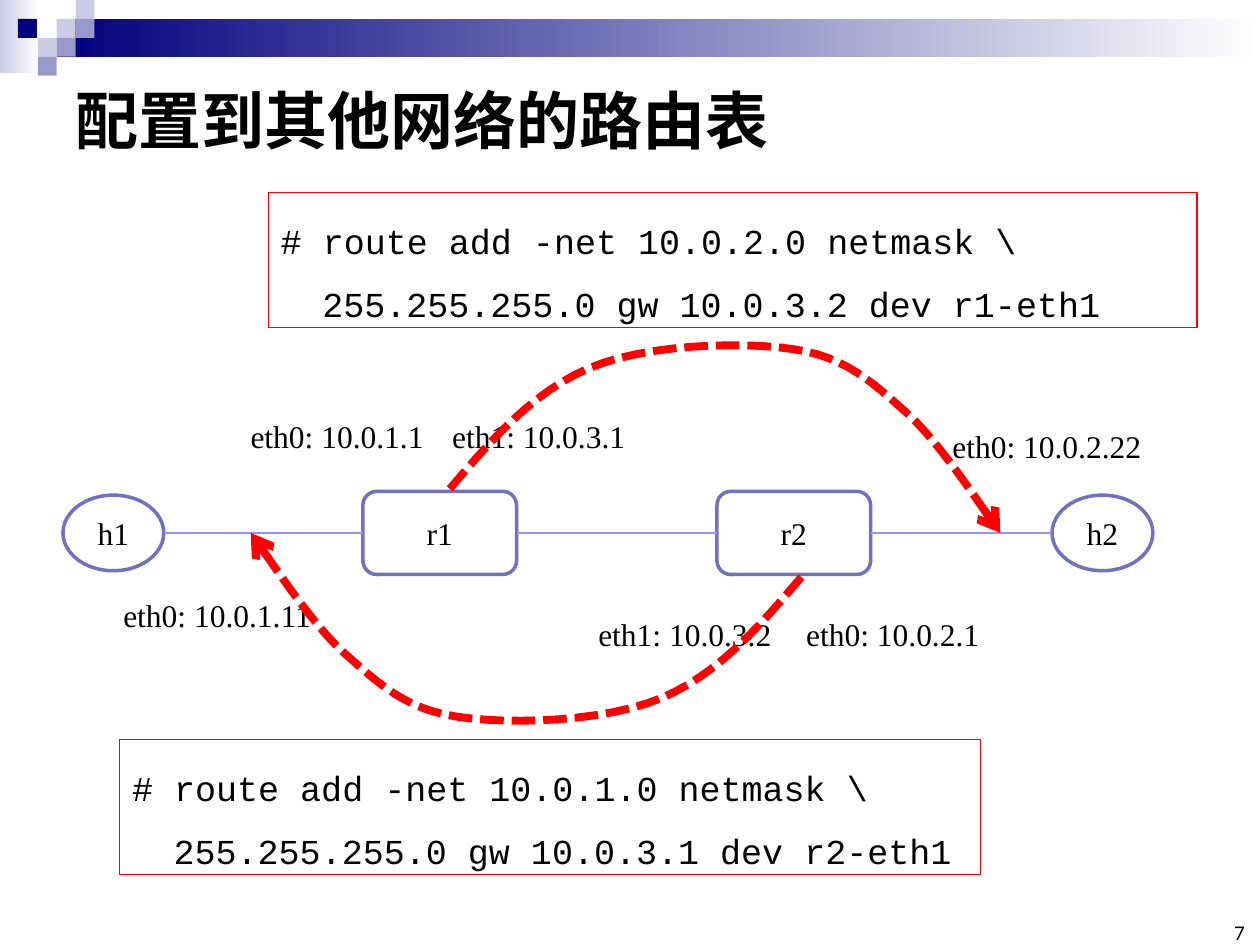
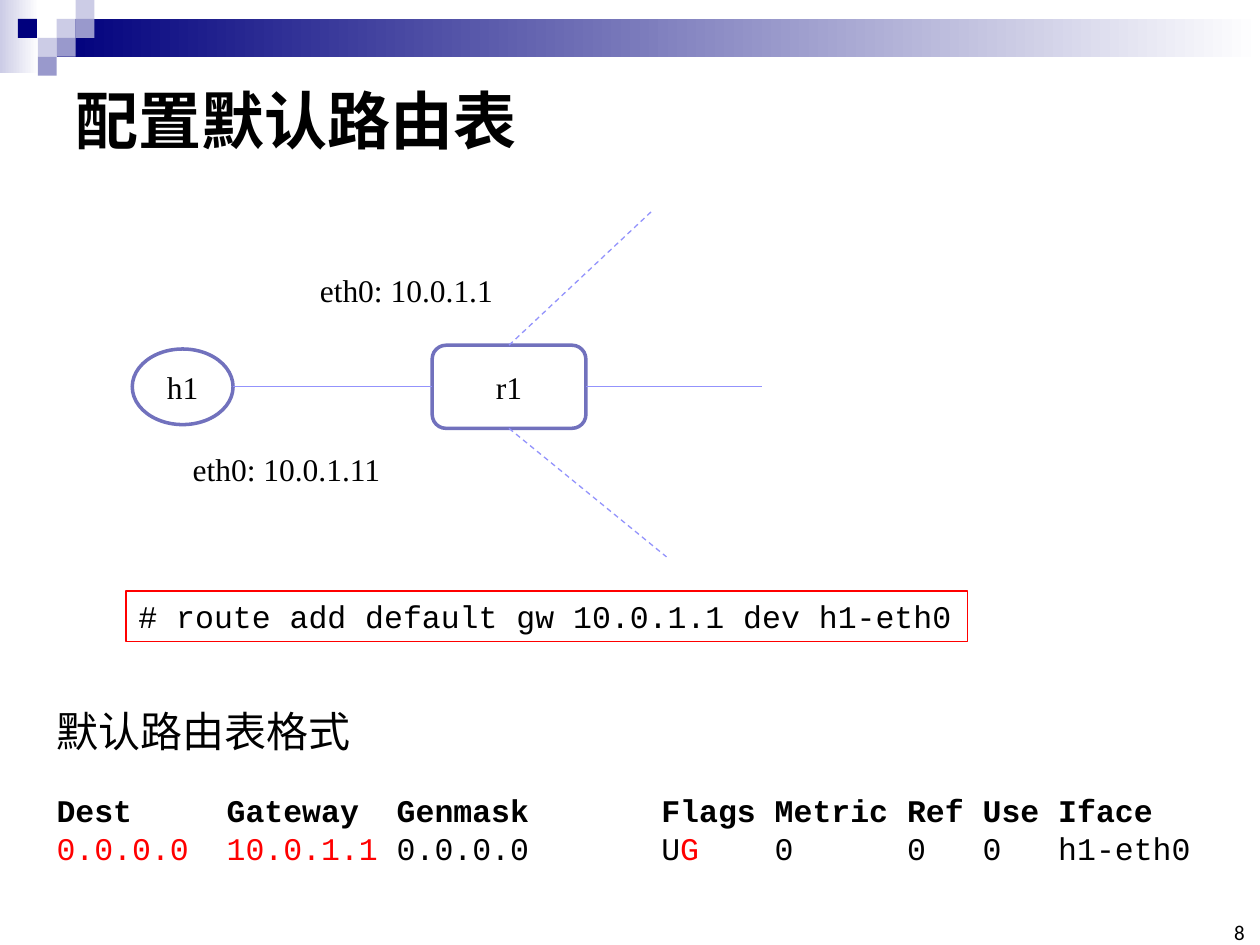
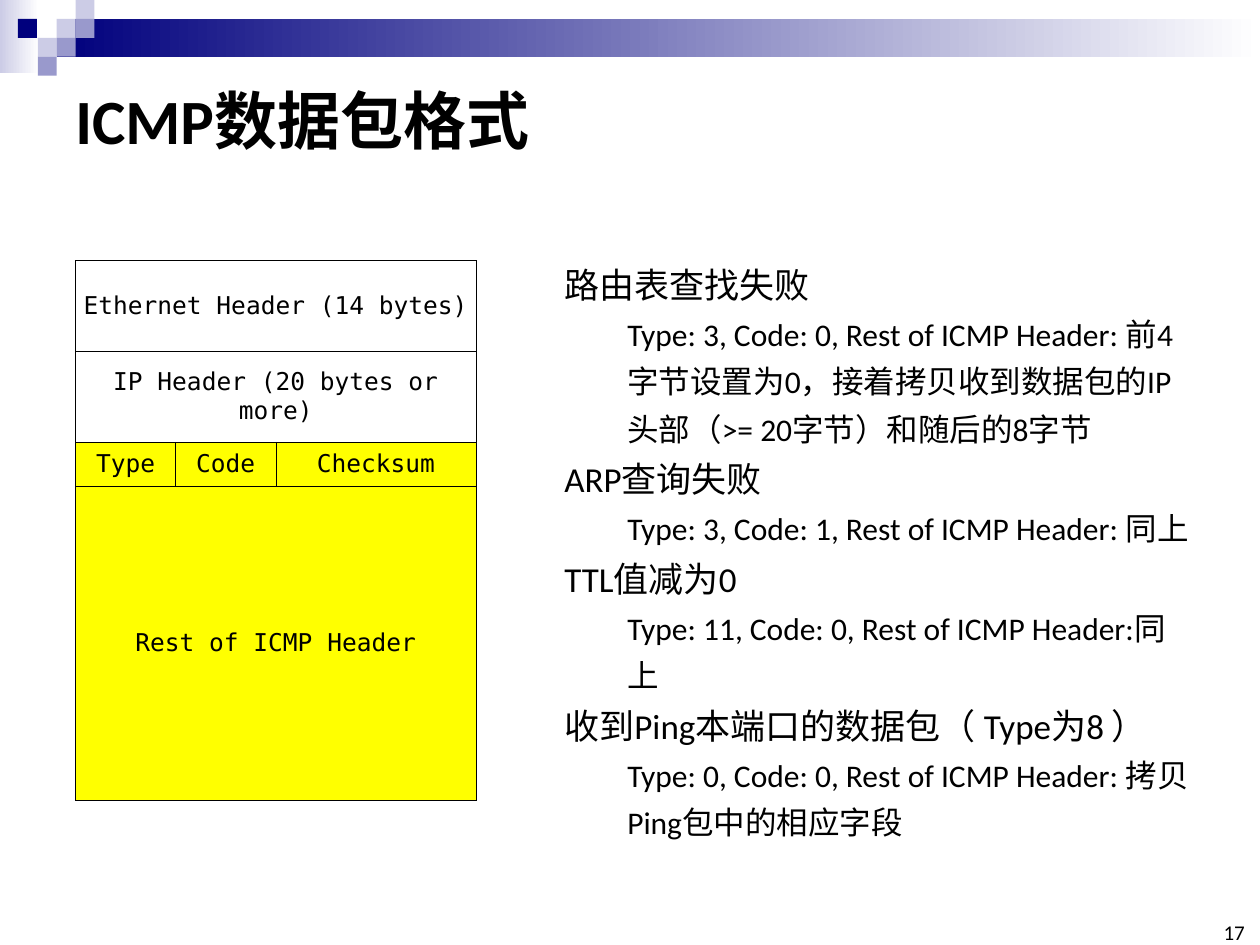
from itertools import pairwise

from lxml import etree
from pptx import Presentation
from pptx.dml.color import RGBColor
from pptx.enum.dml import MSO_LINE
from pptx.enum.shapes import MSO_CONNECTOR, MSO_SHAPE
from pptx.enum.text import MSO_ANCHOR, PP_ALIGN
from pptx.oxml.ns import qn
from pptx.util import Inches, Pt

WIDTH, HEIGHT = 10, 7.5
BLACK, WHITE, RED, YELLOW = "000000", "FFFFFF", "FF0000", "FFFF00"
NAVY, LILAC, PALE = "00007D", "9999CC", "CCCCE6"
NODE_LINE, LINK_LINE = "7171BD", "9393FC"
CHINESE_FONT = "Noto Sans CJK SC"

TITLE = {"name": "Calibri", "size": 36, "bold": True}
BODY = {"name": "Calibri", "size": 20}
DETAIL = {"name": "Calibri", "size": 18}
NUMBER = {"name": "Calibri", "size": 12}
LABEL = {"name": "Times New Roman", "size": 18}
CODE = {"name": "Courier New", "size": 18}
COMMAND = {"name": "Courier New", "size": 20}
PACKET = {"name": "DejaVu Sans Mono", "size": 14}

NODE_SIZES = {MSO_SHAPE.OVAL: (0.8, 0.6), MSO_SHAPE.ROUNDED_RECTANGLE: (1.22, 0.66)}
SEGMENT_AXIS = 0.97  # height of the link line within a network segment


def color(hex_string):
    return RGBColor.from_string(hex_string)


def inches(values):
    return [Inches(value) for value in values]


def set_line(line, hex_string, width, dash=None):
    line.color.rgb = color(hex_string)
    line.width = Pt(width)
    if dash:
        line.dash_style = dash


# Text

def add_run(paragraph, text, style):
    run = paragraph.add_run()
    run.text = text
    values = {"bold": False, **style, "size": Pt(style["size"])}
    hex_string = values.pop("color", BLACK)
    for name, value in values.items():
        setattr(run.font, name, value)
    run.font.color.rgb = color(hex_string)
    etree.SubElement(run.font._element, qn("a:ea"), typeface=CHINESE_FONT)


def fill_text(frame, paragraphs, **formats):
    """Each paragraph is (runs, paragraph formats, left indent)."""
    for name, value in formats.items():
        setattr(frame, name, value)
    for index, (runs, paragraph_formats, indent) in enumerate(paragraphs):
        paragraph = frame.add_paragraph() if index else frame.paragraphs[0]
        for name, value in paragraph_formats.items():
            setattr(paragraph, name, value)
        if indent:
            properties = paragraph._p.get_or_add_pPr()
            properties.set("marL", str(Inches(indent)))
            properties.set("indent", "0")
        for text, style in runs:
            add_run(paragraph, text, style)


def add_text(slide, box, paragraphs, **formats):
    shape = slide.shapes.add_textbox(*inches(box))
    fill_text(shape.text_frame, paragraphs, **{"word_wrap": True, **formats})
    return shape


def line_of(text, style, indent=0, **formats):
    return [(text, style)], formats, indent


# Shared frame of every slide

def add_bar(slide, box, *colors):
    shape = slide.shapes.add_shape(MSO_SHAPE.RECTANGLE, *inches(box))
    shape.shadow.inherit = False
    shape.line.fill.background()
    if len(colors) == 1:
        shape.fill.solid()
        shape.fill.fore_color.rgb = color(colors[0])
        return
    shape.fill.gradient()
    shape.fill.gradient_angle = 0
    for stop, hex_string in zip(shape.fill.gradient_stops, colors):
        stop.color.rgb = color(hex_string)


def add_frame(presentation, title, number):
    slide = presentation.slides.add_slide(presentation.slide_layouts[6])
    # Fading bars and a mosaic on a square grid
    unit = 0.15
    add_bar(slide, (0, 0, 0.31, 0.58), PALE, WHITE)
    add_bar(slide, (3 * unit, unit, WIDTH - 3 * unit, 2 * unit), NAVY, WHITE)
    mosaic = [(3, 1, PALE), (4, 0, PALE), (4, 1, LILAC), (2, 2, PALE),
              (0.95, 1, NAVY), (3, 2, LILAC), (2, 3, LILAC)]
    for column, row, hex_string in mosaic:
        add_bar(slide, (column * unit, row * unit, unit, unit), hex_string)
    # Title and page number
    add_text(slide, (0.5, 0.5, WIDTH - 1, 0.89), [line_of(title, TITLE)],
             vertical_anchor=MSO_ANCHOR.MIDDLE)
    add_text(slide, (WIDTH - 0.35, HEIGHT - 0.17, 0.23, 0.17),
             [line_of(number, NUMBER, alignment=PP_ALIGN.RIGHT)],
             vertical_anchor=MSO_ANCHOR.BOTTOM, word_wrap=False,
             margin_left=0, margin_top=0, margin_right=0, margin_bottom=0)
    return slide


# Network diagram

def add_node(slide, kind, left, axis, name):
    width, height = NODE_SIZES[kind]
    shape = slide.shapes.add_shape(kind, *inches((left, axis - height / 2, width, height)))
    shape.shadow.inherit = False
    shape.fill.solid()
    shape.fill.fore_color.rgb = color(WHITE)
    set_line(shape.line, NODE_LINE, 2)
    fill_text(shape.text_frame, [line_of(name, LABEL, alignment=PP_ALIGN.CENTER)],
              vertical_anchor=MSO_ANCHOR.MIDDLE)


def add_link(slide, start, end, dash=None):
    link = slide.shapes.add_connector(MSO_CONNECTOR.STRAIGHT, *inches((*start, *end)))
    set_line(link.line, LINK_LINE, 0.75, dash)
    etree.SubElement(link._element.spPr, qn("a:effectLst"))


def add_label(slide, left, top, text):
    add_text(slide, (left, top, 1.64 + 0.07 * (len(text) - 14), 0.4),
             [line_of(text, LABEL)], word_wrap=False)


def add_first_segment(slide, left, top):
    """Host h1 linked to router r1."""
    axis = top + SEGMENT_AXIS
    add_node(slide, MSO_SHAPE.ROUNDED_RECTANGLE, left + 2.38, axis, "r1")
    add_node(slide, MSO_SHAPE.OVAL, left, axis, "h1")
    add_link(slide, (left + 0.8, axis), (left + 2.38, axis))
    add_label(slide, left + 0.38, top + 1.42, "eth0: 10.0.1.11")
    add_label(slide, left + 1.39, top, "eth0: 10.0.1.1")


def cubic_point(points, share):
    rest = 1 - share
    weights = (rest ** 3, 3 * rest ** 2 * share, 3 * rest * share ** 2, share ** 3)
    return tuple(sum(weight * point[axis] for weight, point in zip(weights, points))
                 for axis in (0, 1))


def add_route_arrow(slide, knots, steps=12):
    """Dashed curve; knots are a start point and triples of curve points."""
    points = [cubic_point(knots[first:first + 4], step / steps)
              for first in range(0, len(knots) - 1, 3) for step in range(1, steps + 1)]
    builder = slide.shapes.build_freeform(*inches(knots[0]))
    builder.add_line_segments([inches(point) for point in points], close=False)
    shape = builder.convert_to_shape()
    shape.shadow.inherit = False
    shape.fill.background()
    set_line(shape.line, RED, 4.5, MSO_LINE.SQUARE_DOT)
    etree.SubElement(shape.line._get_or_add_ln(), qn("a:tailEnd"), type="arrow")


def add_command(slide, box, paragraphs, **formats):
    set_line(add_text(slide, box, paragraphs, **formats).line, RED, 0.75)


def add_long_command(slide, box, first, second):
    add_command(slide, box, [line_of(first, COMMAND, line_spacing=1.5),
                             line_of(second, COMMAND, 0.33, line_spacing=1.5)])


def build_network_routes(presentation):
    slide = add_frame(presentation, "配置到其他网络的路由表", "7")
    left, top = 0.5, 3.26
    axis = top + SEGMENT_AXIS
    # Nodes, links and interface labels
    add_first_segment(slide, left, top)
    add_node(slide, MSO_SHAPE.ROUNDED_RECTANGLE, left + 5.19, axis, "r2")
    add_node(slide, MSO_SHAPE.OVAL, left + 7.85, axis, "h2")
    add_link(slide, (left + 3.6, axis), (left + 5.19, axis))
    add_link(slide, (left + 6.41, axis), (left + 7.85, axis))
    for x, y, text in [(2.99, 0, "eth1: 10.0.3.1"), (4.15, 1.57, "eth1: 10.0.3.2"),
                       (5.8, 1.57, "eth0: 10.0.2.1"), (6.96, 0.08, "eth0: 10.0.2.22")]:
        add_label(slide, left + x, top + y, text)
    # Commands and route arrows; the lower arrow is the upper one turned half round
    add_long_command(slide, (0.95, 5.87, 6.83, 1.07),
                     "# route add -net 10.0.1.0 netmask \\",
                     "255.255.255.0 gw 10.0.3.1 dev r2-eth1")
    add_long_command(slide, (2.13, 1.53, 7.37, 1.07),
                     "# route add -net 10.0.2.0 netmask \\",
                     "255.255.255.0 gw 10.0.3.2 dev r1-eth1")
    upper = [(3.57, 3.88), (3.9, 3.49), (4.23, 3.11), (4.68, 2.92), (5.13, 2.73),
             (5.88, 2.71), (6.29, 2.77), (6.71, 2.83), (6.92, 3.03), (7.2, 3.28),
             (7.47, 3.52), (7.82, 4.07), (7.94, 4.23)]
    add_route_arrow(slide, upper)
    add_route_arrow(slide, [(9.93 - x, 8.46 - y) for x, y in upper])


def add_routing_table(slide, box):
    red = {**CODE, "color": RED}
    header = "Dest\tGateway\tGenmask\tFlags\tMetric\tRef\tUse\tIface"
    entry = [("0.0.0.0\t10.0.1.1", red), ("\t0.0.0.0\tU", CODE), ("G", red),
             ("\t0\t0\t0\th1-eth0", CODE)]
    shape = add_text(slide, box, [
        line_of("默认路由表格式", {"name": CHINESE_FONT, "size": 24}),
        line_of(header, {**CODE, "bold": True}, space_before=Pt(20)),
        (entry, {}, 0)])
    # Columns start at whole characters
    character = 0.15
    for paragraph in shape.text_frame.paragraphs[1:]:
        tabs = etree.SubElement(paragraph._p.get_or_add_pPr(), qn("a:tabLst"))
        for column in (9, 18, 32, 38, 45, 49, 53):
            etree.SubElement(tabs, qn("a:tab"), pos=str(Inches(column * character)), algn="l")


def build_default_route(presentation):
    slide = add_frame(presentation, "配置默认路由表", "8")
    left, top = 1.05, 2.1
    axis = top + SEGMENT_AXIS
    add_routing_table(slide, (0.35, 5.55, 9.31, 1.41))
    add_first_segment(slide, left, top)
    # Links from r1 to the rest of the network
    add_link(slide, (left + 2.99, axis - 0.33), (left + 4.13, axis - 1.4), MSO_LINE.DASH)
    add_link(slide, (left + 3.6, axis), (left + 5, axis))
    add_link(slide, (left + 2.99, axis + 0.33), (left + 4.24, axis + 1.35), MSO_LINE.DASH)
    add_command(slide, (1, 4.69, 6.68, 0.4),
                [line_of("# route add default gw 10.0.1.1 dev h1-eth0", CODE)],
                word_wrap=False)


# Packet format

def format_cell(cell, text, hex_string):
    properties = cell._tc.get_or_add_tcPr()
    for side in ("lnL", "lnR", "lnT", "lnB"):
        border = etree.SubElement(properties, qn(f"a:{side}"), w=str(Pt(0.5)))
        solid = etree.SubElement(border, qn("a:solidFill"))
        etree.SubElement(solid, qn("a:srgbClr"), val=BLACK)
    cell.fill.solid()
    cell.fill.fore_color.rgb = color(hex_string)
    for name in ("margin_left", "margin_top", "margin_right", "margin_bottom"):
        setattr(cell, name, 0)
    cell.vertical_anchor = MSO_ANCHOR.MIDDLE
    if text:
        fill_text(cell.text_frame, [line_of(text, PACKET, alignment=PP_ALIGN.CENTER)])


def add_packet_table(slide, box):
    rows = [(0.72, WHITE, ["Ethernet Header (14 bytes)"]),
            (0.72, WHITE, ["IP Header (20 bytes or more)"]),
            (0.35, YELLOW, ["Type", "Code", "Checksum"]),
            (2.49, YELLOW, ["Rest of ICMP Header"])]
    table = slide.shapes.add_table(len(rows), 3, *inches(box)).table
    table.first_row = table.horz_banding = False
    edges = [0, 0.25, 0.5, 1]
    for column, (start, end) in zip(table.columns, pairwise(edges)):
        column.width = Inches(box[2] * (end - start))
    for index, (height, hex_string, texts) in enumerate(rows):
        table.rows[index].height = Inches(height)
        if len(texts) == 1:
            table.cell(index, 0).merge(table.cell(index, 2))
            texts = texts + ["", ""]
        for column, text in enumerate(texts):
            format_cell(table.cell(index, column), text, hex_string)


def build_packet_format(presentation):
    slide = add_frame(presentation, "ICMP数据包格式", "17")
    add_packet_table(slide, (0.6, 2.07, 3.18, 4.28))
    cases = [
        ("路由表查找失败", "Type: 3, Code: 0, Rest of ICMP Header: 前4字节设置为0，"
                    "接着拷贝收到数据包的IP头部（>= 20字节）和随后的8字节"),
        ("ARP查询失败", "Type: 3, Code: 1, Rest of ICMP Header: 同上"),
        ("TTL值减为0", "Type: 11, Code: 0, Rest of ICMP Header:同上"),
        ("收到Ping本端口的数据包（ Type为8 ）",
         "Type: 0, Code: 0, Rest of ICMP Header: 拷贝Ping包中的相应字段"),
    ]
    paragraphs = []
    for case, reply in cases:
        paragraphs.append(line_of(case, BODY, line_spacing=1.25))
        paragraphs.append(line_of(reply, DETAIL, 0.5, level=1, line_spacing=1.25))
    add_text(slide, (4.38, 1.96, 5.22, 4.78), paragraphs)


def main():
    presentation = Presentation()
    presentation.slide_width, presentation.slide_height = inches((WIDTH, HEIGHT))
    build_network_routes(presentation)
    build_default_route(presentation)
    build_packet_format(presentation)
    presentation.save("out.pptx")


if __name__ == "__main__":
    main()
